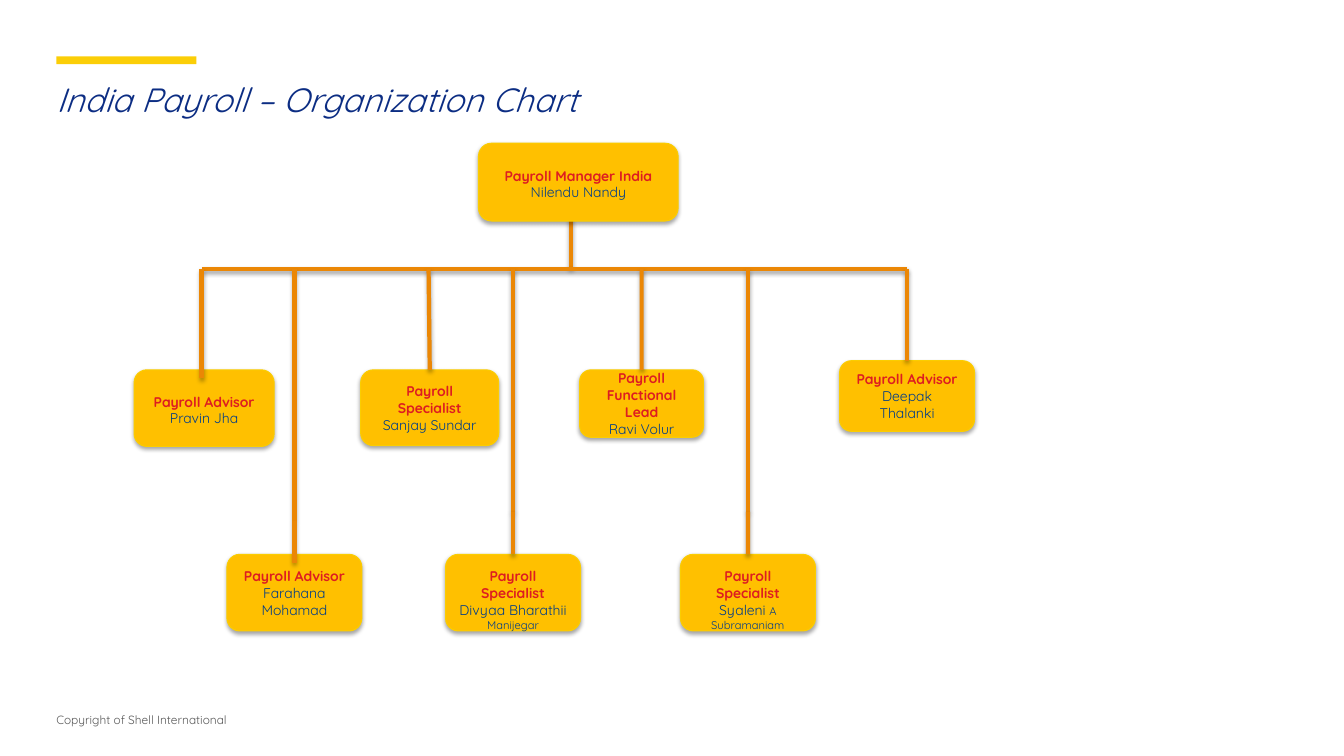
from dataclasses import dataclass

from lxml import etree
from pptx import Presentation
from pptx.dml.color import RGBColor
from pptx.enum.shapes import MSO_CONNECTOR, MSO_SHAPE
from pptx.enum.text import MSO_ANCHOR, PP_ALIGN
from pptx.oxml.ns import qn
from pptx.util import Cm, Pt

RECT, ROUNDED = MSO_SHAPE.RECTANGLE, MSO_SHAPE.ROUNDED_RECTANGLE
STRAIGHT = MSO_CONNECTOR.STRAIGHT
TOP, MIDDLE = MSO_ANCHOR.TOP, MSO_ANCHOR.MIDDLE
LEFT, CENTER = PP_ALIGN.LEFT, PP_ALIGN.CENTER
TOP_SIDE = 0


@dataclass(frozen=True)
class Theme:
    font: str = "Quicksand"
    accent: str = "FBCE07"
    title: str = "0C2D83"
    footer: str = "595959"
    card: str = "FFC000"
    card_edge: str = "FBCD01"
    role: str = "DD1D21"
    person: str = "003C88"
    link: str = "EB8705"
    shadow: str = "000000"
    title_size: float = 24
    text_size: float = 10
    small_size: float = 8
    footer_size: float = 8.5
    link_width: float = 3
    edge_width: float = 0.75


T = Theme()


@dataclass(frozen=True)
class Member:
    """A card, placed in cm from the chart corner, and the stem leading to it."""
    role: str
    name: str
    box: tuple
    stem_x: float = 0
    joint_y: float = 0   # height at which a long stem is split
    dip: float = 0       # how far the stem reaches into the card
    small: str = ""      # end of the name, in small type
    push: float = 0      # points added to the top inset


MANAGER = Member("Payroll Manager India", "Nilendu Nandy", (8.68, 0, 5.03, 1.96), push=2.5)
TEAM = [
    Member("Payroll Advisor", "Pravin Jha", (0, 5.71, 3.53, 1.93), 1.7, dip=0.21, push=2.5),
    Member("Payroll Specialist", "Sanjay Sundar", (5.71, 5.71, 3.48, 1.91), 7.42),
    Member("Payroll Functional Lead", "Ravi Volur", (11.23, 5.71, 3.12, 1.7), 12.79),
    Member("Payroll Advisor", "Deepak Thalanki", (17.78, 5.48, 3.4, 1.78), 19.48),
    Member("Payroll Advisor", "Farahana Mohamad", (2.34, 10.36, 3.4, 1.93), 4.04, 9.52, 0.21),
    Member("Payroll Specialist", "Divyaa Bharathii ", (7.85, 10.36, 3.4, 1.93), 9.55, 9.29,
           small="Manijegar", push=10),
    Member("Payroll Specialist", "Syaleni ", (13.77, 10.36, 3.4, 1.93), 15.47, 9.29,
           small="A Subramaniam", push=10),
]


def rgb(value):
    return RGBColor.from_string(value)


def style_run(r, size, color, bold=False, italic=False):
    f = r.font
    f.name, f.size, f.bold, f.italic = T.font, Pt(size), bold, italic
    f.color.rgb = rgb(color)


def add_soft_shadow(sp):
    """Append the shadow; fill and line must already be set."""
    effects = etree.SubElement(sp._element.spPr, qn("a:effectLst"))
    outer = etree.SubElement(effects, qn("a:outerShdw"), blurRad=str(Pt(3.1)),
                             dist=str(Pt(1.8)), dir="5400000", rotWithShape="0")
    color = etree.SubElement(outer, qn("a:srgbClr"), val=T.shadow)
    etree.SubElement(color, qn("a:alpha"), val="35000")


def add_label(s, box, text, size, color, italic=False):
    tf = s.shapes.add_textbox(*map(Cm, box)).text_frame
    tf.word_wrap = True
    tf.vertical_anchor = TOP
    tf.margin_left = tf.margin_right = tf.margin_top = tf.margin_bottom = 0
    p = tf.paragraphs[0]
    p.text = text
    p.alignment = LEFT
    style_run(p.runs[0], size, color, italic=italic)


def add_header(s, box):
    left, top, width, height = box
    bar = s.shapes.add_shape(RECT, Cm(left), Cm(top), Cm(3.53), Cm(0.2))
    bar.shadow.inherit = False
    bar.fill.solid()
    bar.fill.fore_color.rgb = rgb(T.accent)
    bar.line.fill.background()
    add_label(s, (left, top + 0.56, width, height - 0.56),
              "India Payroll – Organization Chart", T.title_size, T.title, italic=True)


def add_footer(s, box):
    add_label(s, box, "Copyright of Shell International", T.footer_size, T.footer)


def add_link(s, start, end, card=None):
    """Draw a line, joined to the top of card if one is given."""
    line = s.shapes.add_connector(STRAIGHT, *map(Cm, start + end))
    if card is not None:
        line.end_connect(card, TOP_SIDE)
    line.line.color.rgb = rgb(T.link)
    line.line.width = Pt(T.link_width)
    add_soft_shadow(line)


def add_card(s, member, left, top):
    x, y, width, height = member.box
    sp = s.shapes.add_shape(ROUNDED, Cm(left + x), Cm(top + y), Cm(width), Cm(height))
    sp.fill.solid()
    sp.fill.fore_color.rgb = rgb(T.card)
    sp.line.color.rgb = rgb(T.card_edge)
    sp.line.width = Pt(T.edge_width)
    add_soft_shadow(sp)
    tf = sp.text_frame
    tf.word_wrap = True
    tf.vertical_anchor = MIDDLE
    tf.margin_top, tf.margin_bottom = Pt(member.push), 0
    role, name = tf.paragraphs[0], tf.add_paragraph()
    role.text, name.text = member.role, member.name
    role.alignment = name.alignment = CENTER
    style_run(role.runs[0], T.text_size, T.role, bold=True)
    style_run(name.runs[0], T.text_size, T.person)
    if member.small:
        r = name.add_run()
        r.text = member.small
        style_run(r, T.small_size, T.person)
    return sp


def add_org_chart(s, left, top):
    bar_y = top + 3.17
    trunk_x = left + 11.02
    add_link(s, (trunk_x, top + 1.67), (trunk_x, bar_y))
    add_card(s, MANAGER, left, top)
    stems = [m.stem_x for m in TEAM]
    add_link(s, (left + max(stems), bar_y), (left + min(stems), bar_y))
    for member in TEAM:
        card = add_card(s, member, left, top)
        x = left + member.stem_x
        start = (x, bar_y)
        if member.joint_y:
            joint = (x, top + member.joint_y)
            add_link(s, start, joint)
            start = joint
        end = (x, top + member.box[1] + member.dip)
        add_link(s, start, end, None if member.dip else card)


def main():
    prs = Presentation()
    prs.slide_width, prs.slide_height = Cm(33.87), Cm(19.05)
    s = prs.slides.add_slide(prs.slide_layouts[6])
    add_header(s, (1.42, 1.42, 31.04, 2.64))
    add_org_chart(s, 3.38, 3.61)
    add_footer(s, (1.42, 17.96, 9.32, 0.66))
    prs.save("out.pptx")


if __name__ == "__main__":
    main()
